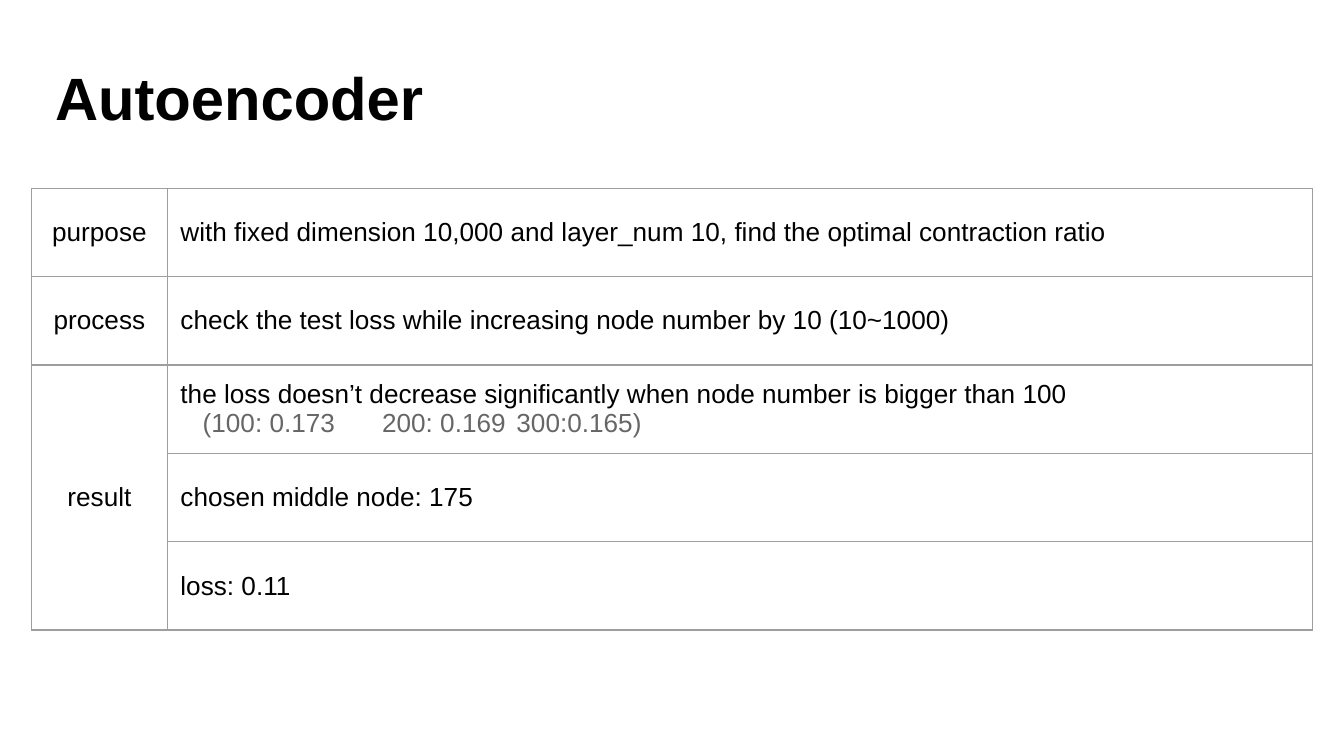
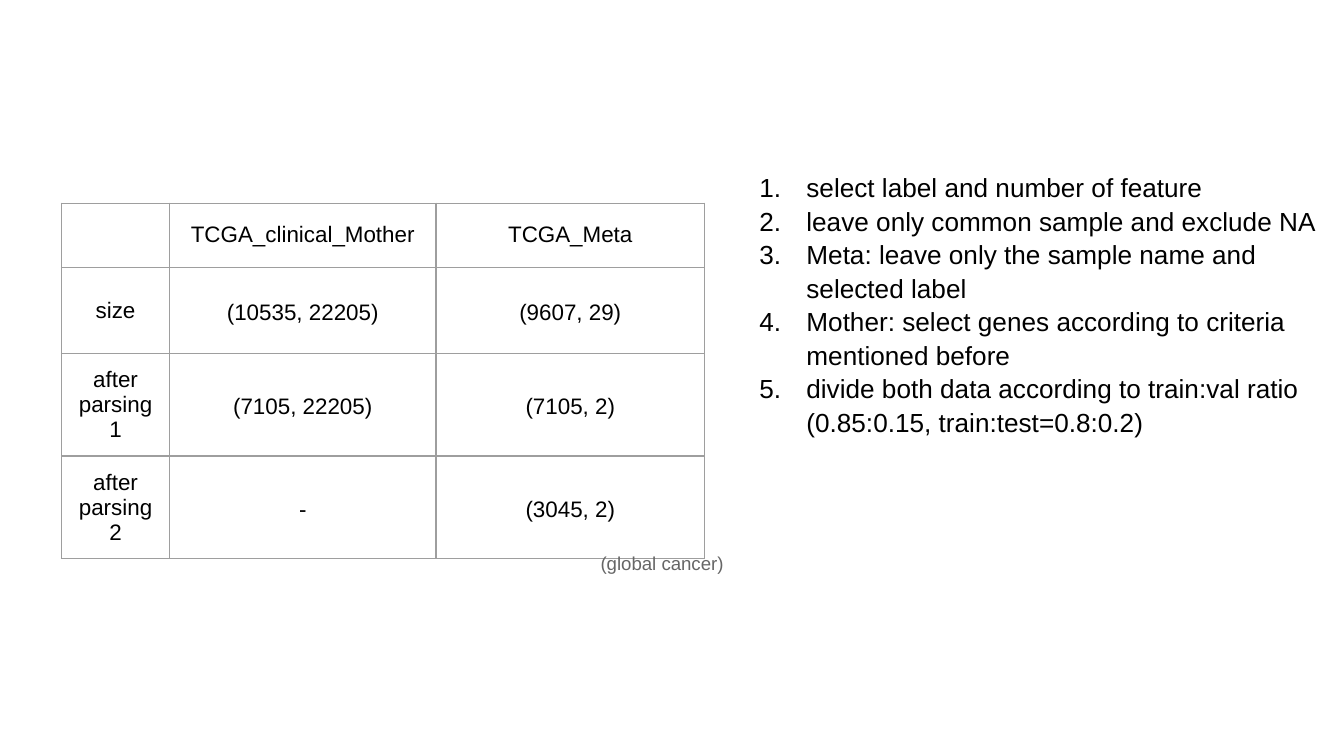
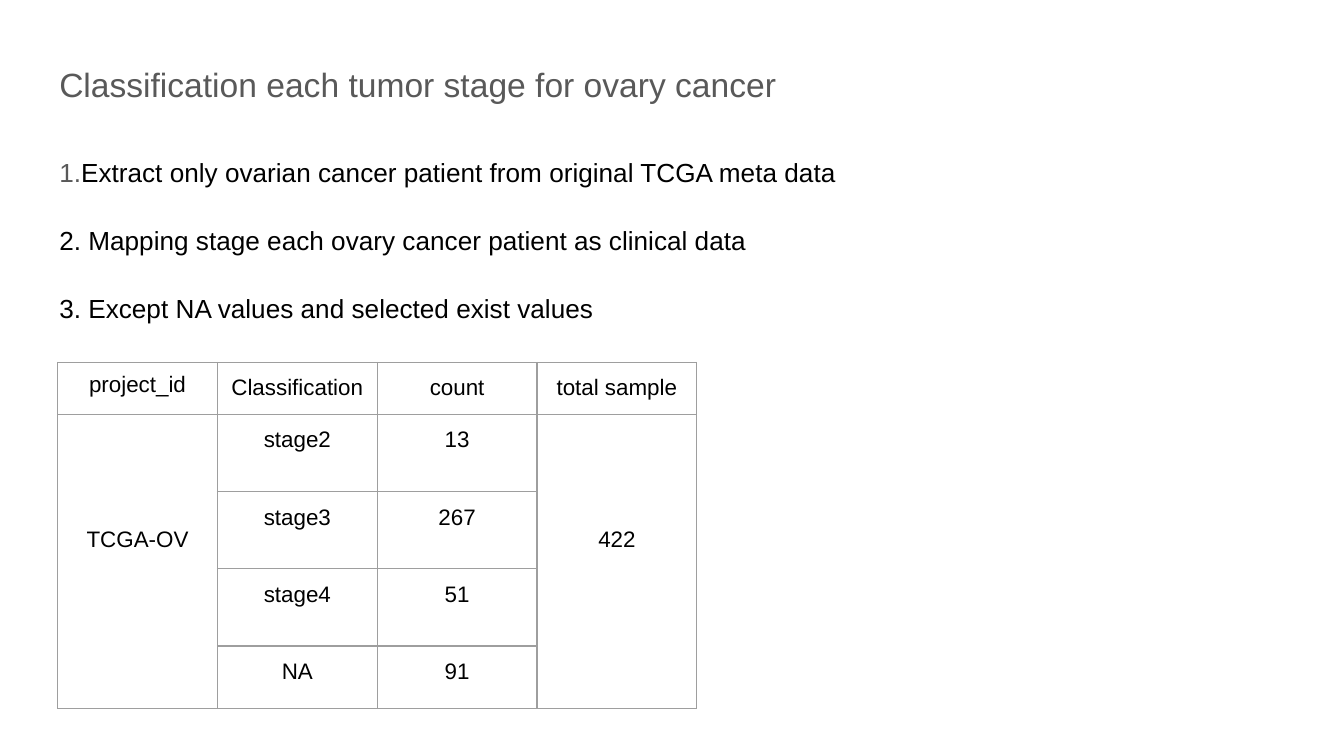
from dataclasses import dataclass

from lxml import etree
from pptx import Presentation
from pptx import util as u
from pptx.dml.color import RGBColor
from pptx.enum import text
from pptx.oxml.ns import qn


@dataclass(frozen=True)
class Theme:
    """Colours, type sizes and spacing shared by the slides."""
    font: str = "Arial"
    ink: str = "000000"
    heading: str = "595959"
    muted: str = "666666"
    rule: str = "9E9E9E"
    rule_width: float = 0.75
    title: int = 32
    subtitle: int = 18
    body: int = 14
    cell: int = 12
    note: int = 10
    loose: float = 1.15
    inset: float = 0.25


THEME = Theme()
LEFT, CENTER = text.PP_ALIGN.LEFT, text.PP_ALIGN.CENTER
TOP, MIDDLE = text.MSO_ANCHOR.TOP, text.MSO_ANCHOR.MIDDLE


def place(shape, box):
    """Move a shape to a box of left, top, width and height in centimetres."""
    shape.left, shape.top, shape.width, shape.height = map(u.Cm, box)


def set_margins(target, inset=THEME.inset):
    """Give a text frame or table cell the same margin on each side."""
    for side in ("left", "top", "right", "bottom"):
        setattr(target, f"margin_{side}", u.Cm(inset))


def style(para, size, color=THEME.ink, align=LEFT, spacing=1.0, bold=False):
    """Format a whole paragraph."""
    para.alignment, para.line_spacing, para.space_before = align, spacing, u.Pt(0)
    font = para.font
    font.name, font.size, font.bold = THEME.font, u.Pt(size), bold
    font.color.rgb = RGBColor.from_string(color)


def prepare_frame(shape, box):
    """Place a text shape and return its wrapped, top-aligned frame."""
    place(shape, box)
    frame = shape.text_frame
    frame.word_wrap, frame.auto_size = True, text.MSO_AUTO_SIZE.NONE
    frame.vertical_anchor = TOP
    set_margins(frame)
    return frame


def add_title(page, box, words, size, **look):
    """Fill the title placeholder."""
    frame = prepare_frame(page.shapes.title, box)
    frame.text = words
    style(frame.paragraphs[0], size, **look)


def set_bullet(para, numbered):
    """Number a paragraph with a hanging indent, or clear its bullet."""
    props = para._p.get_or_add_pPr()
    margin, indent = (u.Cm(1.27), u.Cm(-0.89)) if numbered else (0, 0)
    props.set("marL", str(margin))
    props.set("indent", str(indent))
    if numbered:
        color = etree.SubElement(props, qn("a:buClr"))
        etree.SubElement(color, qn("a:srgbClr"), val=THEME.ink)
        etree.SubElement(props, qn("a:buFont"), typeface=THEME.font)
        etree.SubElement(props, qn("a:buAutoNum"), type="arabicPeriod")
    else:
        etree.SubElement(props, qn("a:buNone"))


def add_list(page, box, items, numbered, spacing):
    """Fill the body placeholder with one paragraph per item."""
    frame = prepare_frame(page.placeholders[1], box)
    frame.text = "\n".join(items)
    for para in frame.paragraphs:
        set_bullet(para, numbered)
        style(para, THEME.body, spacing=spacing)
    return frame.paragraphs


def add_borders(cell):
    """Draw the four thin borders of a table cell."""
    props = cell._tc.get_or_add_tcPr()
    for tag in ("a:lnL", "a:lnR", "a:lnT", "a:lnB"):
        line = etree.SubElement(props, qn(tag), w=str(u.Pt(THEME.rule_width)))
        fill = etree.SubElement(line, qn("a:solidFill"))
        etree.SubElement(fill, qn("a:srgbClr"), val=THEME.rule)


def add_table(page, corner, widths, heights, rows, size, aligns, anchor=MIDDLE):
    """Draw a plain ruled table from rows of text, one alignment per column."""
    box = (*corner, sum(widths), sum(heights))
    table = page.shapes.add_table(len(rows), len(widths), *map(u.Cm, box)).table
    table.first_row = table.horz_banding = False
    for column, width in zip(table.columns, widths):
        column.width = u.Cm(width)
    for row, height, words in zip(table.rows, heights, rows):
        row.height = u.Cm(height)
        for cell, word, align in zip(row.cells, words, aligns):
            set_margins(cell)
            add_borders(cell)
            cell.fill.background()
            cell.vertical_anchor = anchor
            cell.text = word
            for para in cell.text_frame.paragraphs:
                style(para, size, align=align)
    return table


def set_loss_values(para):
    """Indent the loss values, space them with tab stops and grey them."""
    props = para._p.get_or_add_pPr()
    props.set("marL", "0")
    props.set("indent", str(u.Cm(0.42)))
    stops = etree.Element(qn("a:tabLst"))
    for position in (4, 7.45):
        etree.SubElement(stops, qn("a:tab"), pos=str(u.Cm(position)), algn="l")
    props.find(qn("a:defRPr")).addprevious(stops)
    para.font.color.rgb = RGBColor.from_string(THEME.muted)


def build_autoencoder(page):
    """Summarise the purpose, process and result of the autoencoder."""
    add_title(page, (0.79, 0.89, 25.04, 1.88), "Autoencoder", THEME.title, bold=True)
    rows = [
        ("purpose", "with fixed dimension 10,000 and layer_num 10, find the optimal contraction ratio"),
        ("process", "check the test loss while increasing node number by 10 (10~1000)"),
        ("result", "the loss doesn’t decrease significantly when node number is bigger than 100\n"
                   "(100: 0.173\t200: 0.169\t300:0.165)"),
        ("", "chosen middle node: 175"),
        ("", "loss: 0.11"),
    ]
    table = add_table(page, (0.6, 3.56), (2.56, 21.64), [1.67] * len(rows), rows,
                      THEME.body, (CENTER, LEFT))
    set_loss_values(table.cell(2, 1).text_frame.paragraphs[1])
    table.cell(2, 0).merge(table.cell(4, 0))


def build_parsing(page):
    """Show the data sizes beside the parsing steps."""
    title = page.shapes.title.element
    title.getparent().remove(title)
    rows = [
        ("", "TCGA_clinical_Mother", "TCGA_Meta"),
        ("size", "(10535, 22205)", "(9607, 29)"),
        ("after parsing 1", "(7105, 22205)", "(7105, 2)"),
        ("after parsing 2", "-", "(3045, 2)"),
    ]
    table = add_table(page, (1.16, 3.84), (2.05, 5.03, 5.08), (1.21, 1.63, 1.94, 1.94),
                      rows, THEME.cell, [CENTER] * 3)
    for row in range(1, len(rows)):
        for column in (1, 2):
            table.cell(row, column).text_frame.paragraphs[0].line_spacing = THEME.loose
    steps = [
        "select label and number of feature",
        "leave only common sample and exclude NA",
        "Meta: leave only the sample name and selected label",
        "Mother: select genes according to criteria mentioned before",
        "divide both data according to train:val ratio (0.85:0.15, train:test=0.8:0.2)",
    ]
    add_list(page, (13.72, 2.95, 11.5, 5.4), steps, numbered=True, spacing=1.07)
    note = prepare_frame(page.shapes.add_textbox(0, 0, 0, 0), (11.1, 10.19, 3.2, 0.91))
    note.text = "(global cancer)"
    style(note.paragraphs[0], THEME.note, THEME.muted)


def build_stages(page):
    """List the classification steps above the count of each stage."""
    add_title(page, (0.87, 0.84, 23.67, 1.6), "Classification each tumor stage for ovary cancer",
              THEME.subtitle, color=THEME.heading, spacing=THEME.loose)
    steps = [
        "1.",
        "2. Mapping stage each ovary cancer patient as clinical data",
        "3. Except NA values and selected exist values",
    ]
    paras = add_list(page, (0.87, 2.62, 23.67, 9.5), steps, False, THEME.loose)
    paras[0].runs[0].font.color.rgb = RGBColor.from_string(THEME.heading)
    span = paras[0].add_run()
    span.text = "Extract only ovarian cancer patient from original TCGA meta data"
    for para in paras[1:]:
        para.space_before = u.Pt(17)

    rows = [
        ("project_id", "Classification", "count", "total sample"),
        ("TCGA-OV", "stage2", "13", "422"),
        ("", "stage3", "267", ""),
        ("", "stage4", "51", ""),
        ("", "NA", "91", ""),
    ]
    table = add_table(page, (1.09, 6.85), [3.02] * 4, (0.98, 1.46, 1.46, 1.46, 1.18),
                      rows, THEME.cell, [CENTER] * 4, TOP)
    corner = table.cell(0, 0)
    set_margins(corner, 0.03)
    corner.margin_bottom, corner.vertical_anchor = u.Cm(THEME.inset), MIDDLE
    corner.text_frame.paragraphs[0].line_spacing = THEME.loose
    for column in (0, 3):
        merged = table.cell(1, column)
        merged.merge(table.cell(4, column))
        merged.vertical_anchor, merged.margin_bottom = MIDDLE, u.Cm(1.05)


def main():
    """Build and save the deck."""
    deck = Presentation()
    deck.slide_width, deck.slide_height = u.Cm(25.4), u.Cm(14.29)
    title_only, title_and_body = deck.slide_layouts[5], deck.slide_layouts[1]
    for build, layout in ((build_autoencoder, title_only),
                          (build_parsing, title_and_body),
                          (build_stages, title_and_body)):
        build(deck.slides.add_slide(layout))
    deck.save("out.pptx")


if __name__ == "__main__":
    main()
